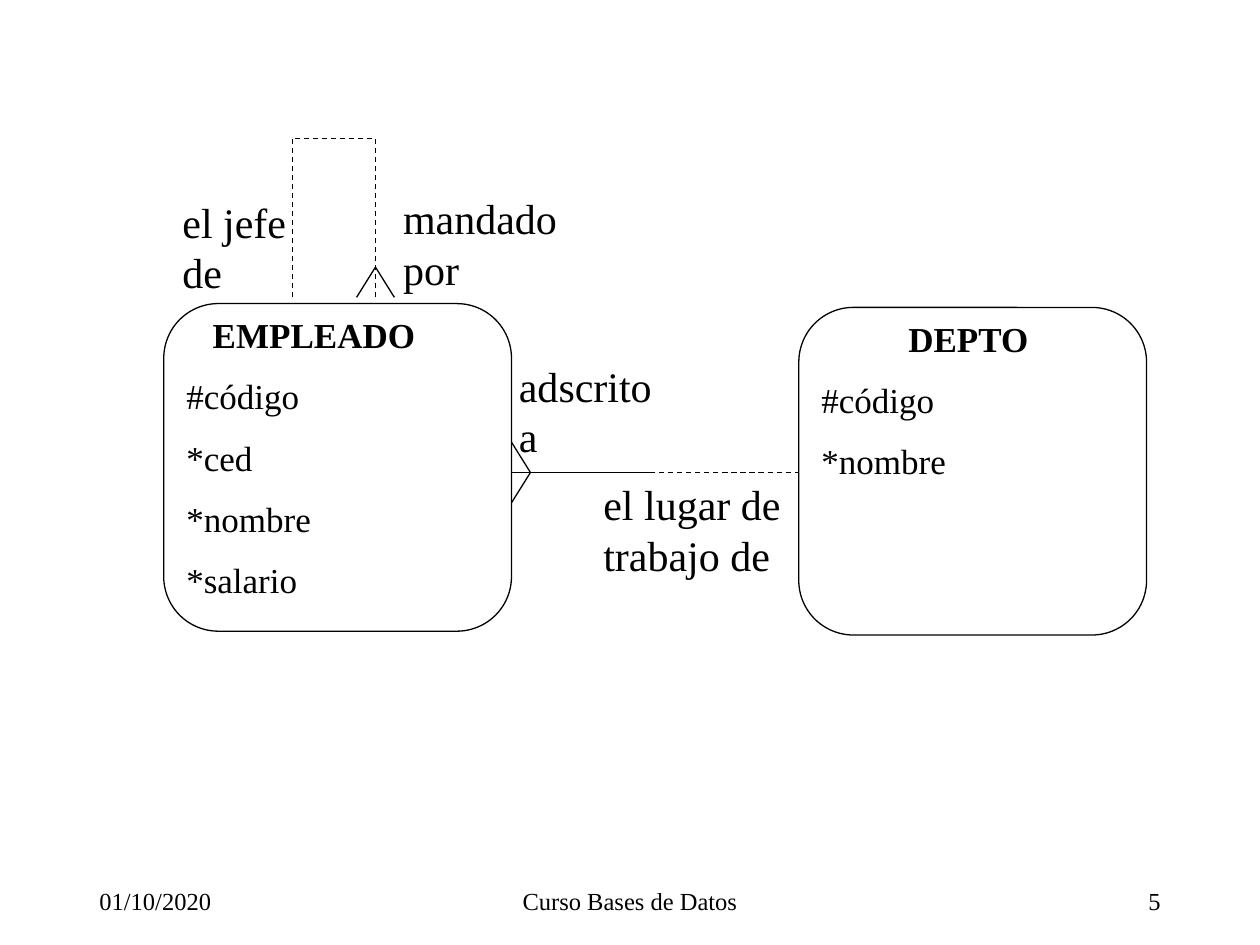
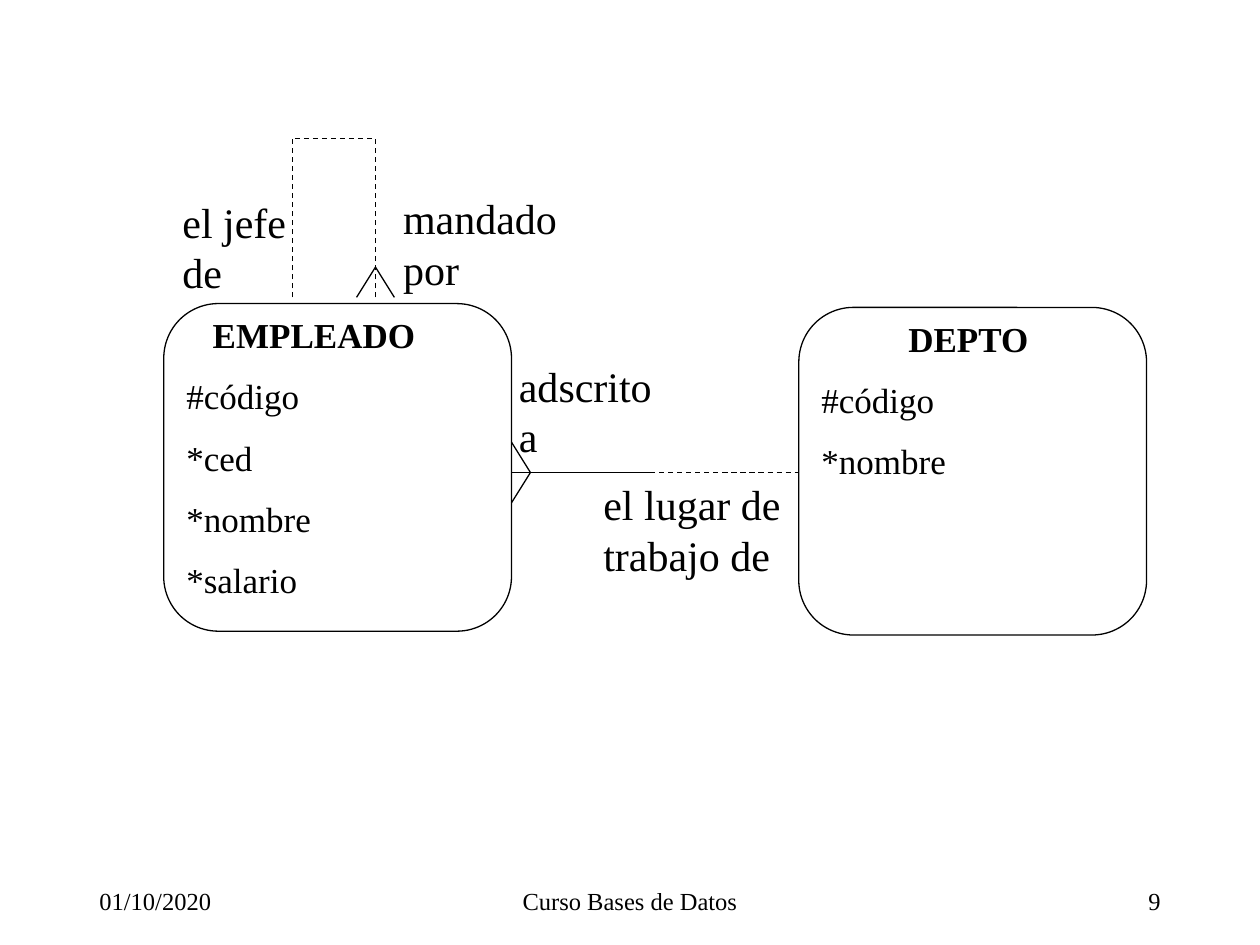
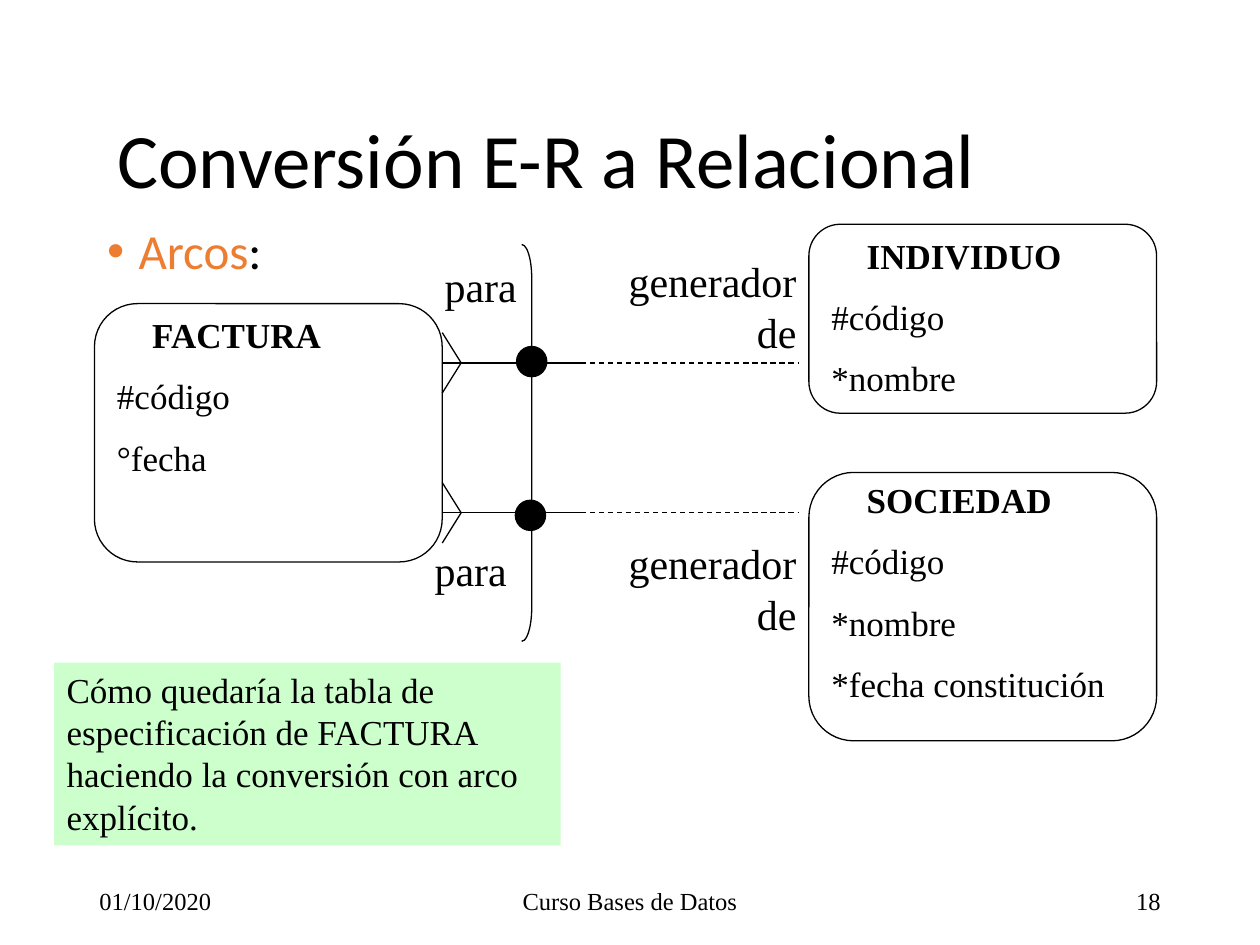
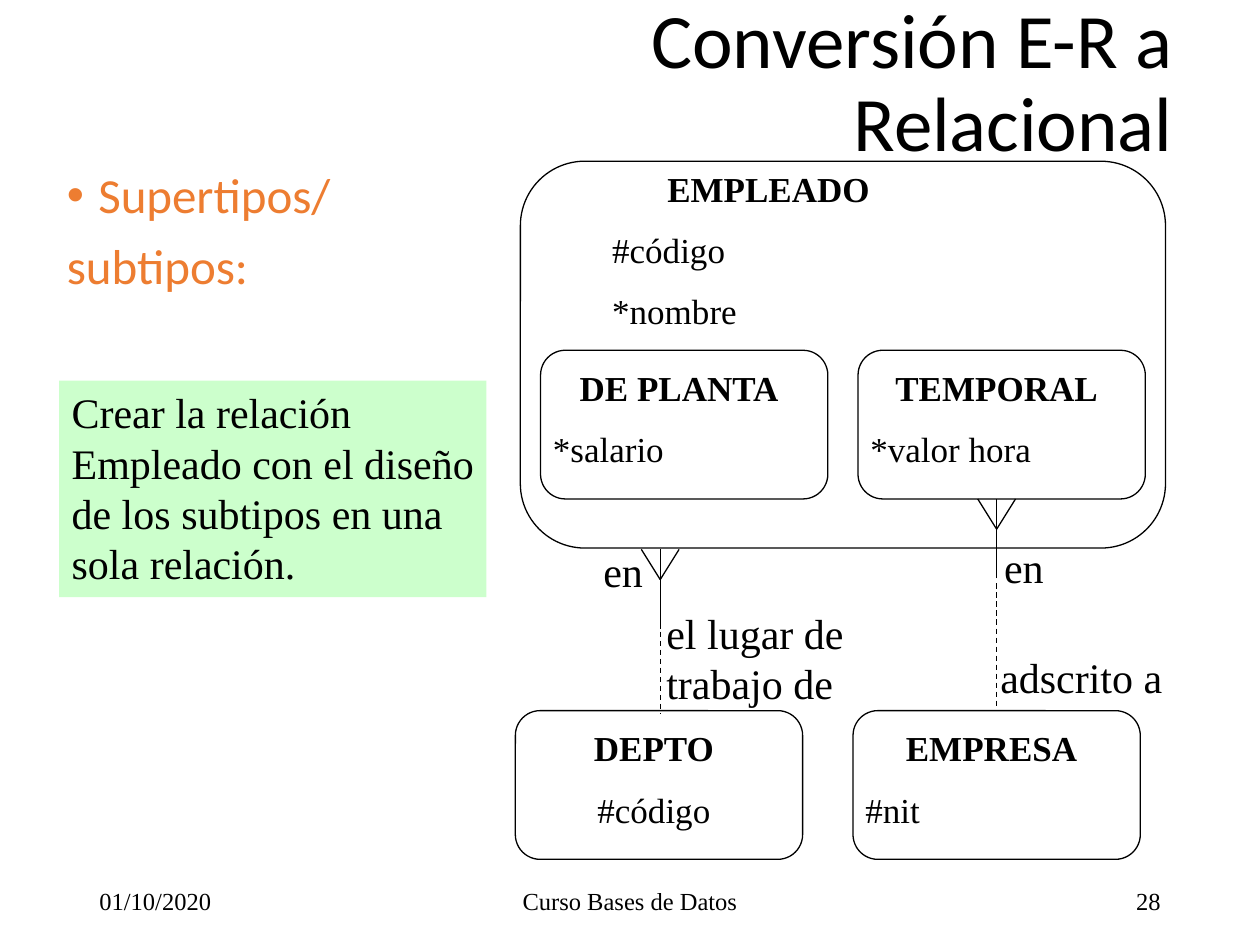
from pptx import Presentation
from pptx.dml.color import RGBColor
from pptx.enum.dml import MSO_LINE
from pptx.enum.shapes import MSO_CONNECTOR, MSO_SHAPE
from pptx.enum.text import MSO_ANCHOR, MSO_AUTO_SIZE, PP_ALIGN
from pptx.oxml.ns import qn
from pptx.util import Inches, Pt
from lxml import etree

BLACK = RGBColor(0x00, 0x00, 0x00)
ORANGE = RGBColor(0xED, 0x7D, 0x31)
GREEN = RGBColor(0xCC, 0xFF, 0xCC)
SERIF, SANS = "Times New Roman", "Calibri"
LEFT, CENTER, RIGHT = PP_ALIGN.LEFT, PP_ALIGN.CENTER, PP_ALIGN.RIGHT
TOP, MIDDLE = MSO_ANCHOR.TOP, MSO_ANCHOR.MIDDLE
DASH = MSO_LINE.DASH
STRAIGHT = MSO_CONNECTOR.STRAIGHT
ROUNDED, RECTANGLE = MSO_SHAPE.ROUNDED_RECTANGLE, MSO_SHAPE.RECTANGLE
BRACKET, OVAL = MSO_SHAPE.RIGHT_BRACKET, MSO_SHAPE.OVAL
NO_FIT = MSO_AUTO_SIZE.NONE

LINE_WIDTH = Pt(0.75)
FOOT_LENGTH, FOOT_SPREAD = 0.24, 0.15
TITLE = "Conversión E-R a Relacional"
TITLE_LAYOUT, BLANK_LAYOUT = 1, 6


def write_text(shape, lines, size, align=LEFT, font=SERIF, color=BLACK,
               before=0, spacing=1.0, anchor=TOP):
    """Fill a shape with one paragraph per line, spaced after the first."""
    frame = shape.text_frame
    frame.word_wrap = True
    frame.auto_size = NO_FIT
    frame.vertical_anchor = anchor
    frame.text = "\n".join(lines)
    for number, para in enumerate(frame.paragraphs):
        para.alignment = align
        para.line_spacing = spacing
        para.space_before = Pt(before if number else 0)
        para.font.size = Pt(size)
        para.font.name = font
        para.font.color.rgb = color
    return frame.paragraphs


def draw_line(page, points, dashed=False):
    """Draw a thin black line through x1, y1, x2, y2 in inches."""
    line = page.shapes.add_connector(STRAIGHT, *map(Inches, points))
    line.line.color.rgb = BLACK
    line.line.width = LINE_WIDTH
    if dashed:
        line.line.dash_style = DASH
    etree.SubElement(line._element.spPr, qn("a:effectLst"))


# Entity: outline, text place, name, name indent (None centres it), attributes,
# alignment of the attributes.
# Crow's foot: point on the entity's edge, and the side its tip points to.
employee_page = {
    "entities": [
        ((1.3, 2.41, 2.76, 2.6), (1.38, 2.44, 2.68, 2.46), "EMPLEADO", 0.21,
         ["#código", "*ced", "*nombre", "*salario"], LEFT),
        ((6.34, 2.44, 2.76, 2.6), (6.42, 2.47, 2.68, 1.45), "DEPTO", 0.69,
         ["#código", "*nombre"], LEFT),
    ],
    "solid": [(4.06, 3.75, 5.16, 3.75)],
    "dashed": [(5.16, 3.75, 6.34, 3.75), (2.32, 2.36, 2.32, 1.1),
               (2.34, 1.1, 2.97, 1.1), (2.98, 2.36, 2.98, 1.1)],
    "feet": [(4.06, 3.75, "right"), (2.98, 2.36, "up")],
    "labels": [
        ((4.69, 3.75, 1.81, 0.9), "el lugar de trabajo de", LEFT),
        ((4.02, 2.81, 1.34, 0.9), "adscrito a", LEFT),
        ((1.35, 1.51, 1.34, 0.9), "el jefe de", LEFT),
        ((3.1, 1.48, 1.55, 0.9), "mandado por", LEFT),
    ],
}

invoice_page = {
    "title": ((0.83, 0.67, 8.5, 1.25), LEFT),
    "list": ((0.75, 1.75, 8.5, 1.33), ["Arcos"], ":"),
    "entities": [
        ((0.75, 2.41, 2.76, 2.05), (0.83, 2.44, 2.68, 1.43), "FACTURA", 0.28,
         ["#código", "°fecha"], LEFT),
        ((6.42, 1.78, 2.76, 1.5), (6.5, 1.81, 2.68, 1.43), "INDIVIDUO", 0.28,
         ["#código", "*nombre"], LEFT),
        ((6.42, 3.75, 2.76, 2.13), (6.5, 3.75, 2.68, 1.93), "SOCIEDAD", 0.28,
         ["#código", "*nombre", "*fecha constitución"], LEFT),
    ],
    "solid": [(3.51, y, 4.61, y) for y in (2.88, 4.07)],
    "dashed": [(4.61, y, 6.34, y) for y in (2.88, 4.07)],
    "feet": [(3.51, y, "right") for y in (2.88, 4.07)],
    "labels": [
        ((3.43, 2.02, 1.02, 0.5), "para", LEFT),
        ((3.35, 4.27, 1.02, 0.5), "para", LEFT),
        ((4.61, 1.98, 1.81, 0.9), "generador de", RIGHT),
        ((4.61, 4.22, 1.81, 0.9), "generador de", RIGHT),
    ],
    "arc": (4.14, 1.94, 0.08, 3.15),
    "dots": [(4.1, 2.75, 0.24, 0.24), (4.09, 3.97, 0.24, 0.24)],
    "note": ((0.43, 5.26, 4.02, 1.45), 20,
             "Cómo quedaría la tabla de especificación de FACTURA "
             "haciendo la conversión con arco explícito."),
}

subtype_page = {
    "title": ((3.48, 0.05, 5.93, 1.25), RIGHT),
    "list": ((0.43, 1.31, 3.54, 1.1), ["Supertipos/", "subtipos:"], ""),
    "entities": [
        ((4.13, 1.28, 5.12, 3.07), (4.76, 1.28, 2.68, 1.93), "EMPLEADO", None,
         ["#código", "*nombre"], LEFT),
    ] + [
        ((x, y, 2.28, 1.18), (x, y + 0.08, 2.2, 0.93), name, None,
         [attribute], align)
        for x, y, name, attribute, align in [
            (4.29, 2.78, "DE PLANTA", "*salario", LEFT),
            (6.81, 2.78, "TEMPORAL", "*valor hora", LEFT),
            (6.77, 5.64, "EMPRESA", "#nit", LEFT),
            (4.09, 5.64, "DEPTO", "#código", CENTER),
        ]
    ],
    "solid": [(5.24, 4.99, 5.24, 4.36), (7.91, 4.59, 7.91, 3.96)],
    "dashed": [(5.24, 4.87, 5.24, 5.66), (7.91, 4.63, 7.91, 5.62)],
    "feet": [(5.24, 4.36, "down"), (7.91, 3.96, "down")],
    "labels": [
        ((4.69, 4.28, 0.95, 0.5), "en", LEFT),
        ((7.87, 4.25, 0.95, 0.5), "en", LEFT),
        ((5.19, 4.77, 1.89, 0.9), "el lugar de trabajo de", LEFT),
        ((7.84, 5.12, 1.89, 0.5), "adscrito a", LEFT),
    ],
    "note": ((0.47, 3.02, 3.39, 1.72), 24,
             "Crear la relación Empleado con el diseño de los subtipos "
             "en una sola relación."),
}

deck = Presentation()
deck.slide_width, deck.slide_height = Inches(10), Inches(7.5)

for number, content in [("5", employee_page), ("9", employee_page),
                        ("18", invoice_page), ("28", subtype_page)]:
    layout = TITLE_LAYOUT if "title" in content else BLANK_LAYOUT
    page = deck.slides.add_slide(deck.slide_layouts[layout])
    shapes = page.shapes

    # Footer
    for x, width, text, align in [(0.69, 2.25, "01/10/2020", LEFT),
                                  (3.31, 3.38, "Curso Bases de Datos", CENTER),
                                  (7.06, 2.25, number, RIGHT)]:
        box = shapes.add_textbox(*map(Inches, (x, 6.95, width, 0.4)))
        write_text(box, [text], 14, align, anchor=MIDDLE)

    # Title and list
    if "title" in content:
        place, align = content["title"]
        title = shapes.title
        title.left, title.top, title.width, title.height = map(Inches, place)
        write_text(title, [TITLE], 44, align, SANS, spacing=0.9, anchor=MIDDLE)

        place, lines, ending = content["list"]
        body = page.placeholders[1]
        body.left, body.top, body.width, body.height = map(Inches, place)
        paras = write_text(body, lines, 28, LEFT, SANS, ORANGE, 10, 0.9)
        for position, para in enumerate(paras):
            properties = para._p.get_or_add_pPr()
            properties.set("marL", str(Inches(0.25)))
            properties.set("indent", str(-Inches(0.25)))
            if position == 0:
                bullet = etree.Element(qn("a:buChar"), char="•")
            else:
                bullet = etree.Element(qn("a:buNone"))
            properties.find(qn("a:defRPr")).addprevious(bullet)
        if ending:
            span = paras[0].add_run()
            span.text = ending
            span.font.color.rgb = BLACK

    # Entities
    for outline, place, name, indent, attributes, align in content["entities"]:
        frame = shapes.add_shape(ROUNDED, *map(Inches, outline))
        frame.shadow.inherit = False
        frame.fill.background()
        frame.line.color.rgb = BLACK
        frame.line.width = LINE_WIDTH
        box = shapes.add_textbox(*map(Inches, place))
        heading = write_text(box, [name] + attributes, 20, align, before=11)[0]
        heading.font.bold = True
        if indent is None:
            heading.alignment = CENTER
        else:
            heading._p.get_or_add_pPr().set("marL", str(Inches(indent)))

    # Relationships
    for points in content["solid"]:
        draw_line(page, points)
    for points in content["dashed"]:
        draw_line(page, points, dashed=True)
    for x, y, side in content["feet"]:
        for sign in (-1, 1):
            if side == "right":
                toe = (x, y + sign * FOOT_LENGTH)
                tip = (x + FOOT_SPREAD, y)
            else:
                toe = (x + sign * FOOT_SPREAD, y)
                tip = (x, y + (FOOT_LENGTH if side == "down" else -FOOT_LENGTH))
            draw_line(page, toe + tip)
    for place, text, align in content["labels"]:
        box = shapes.add_textbox(*map(Inches, place))
        write_text(box, [text], 24, align)

    # Exclusive arc with its dots
    if "arc" in content:
        arc = shapes.add_shape(BRACKET, *map(Inches, content["arc"]))
        arc.adjustments[0] = 3.36
        arc.fill.background()
        dots = [shapes.add_shape(OVAL, *map(Inches, place))
                for place in content["dots"]]
        for dot in dots:
            dot.fill.solid()
            dot.fill.fore_color.rgb = BLACK
        for shape in [arc] + dots:
            shape.shadow.inherit = False
            shape.line.color.rgb = BLACK
            shape.line.width = LINE_WIDTH

    # Exercise note
    if "note" in content:
        place, size, text = content["note"]
        note = shapes.add_shape(RECTANGLE, *map(Inches, place))
        note.shadow.inherit = False
        note.fill.solid()
        note.fill.fore_color.rgb = GREEN
        note.line.fill.background()
        write_text(note, [text], size)

deck.save("out.pptx")
